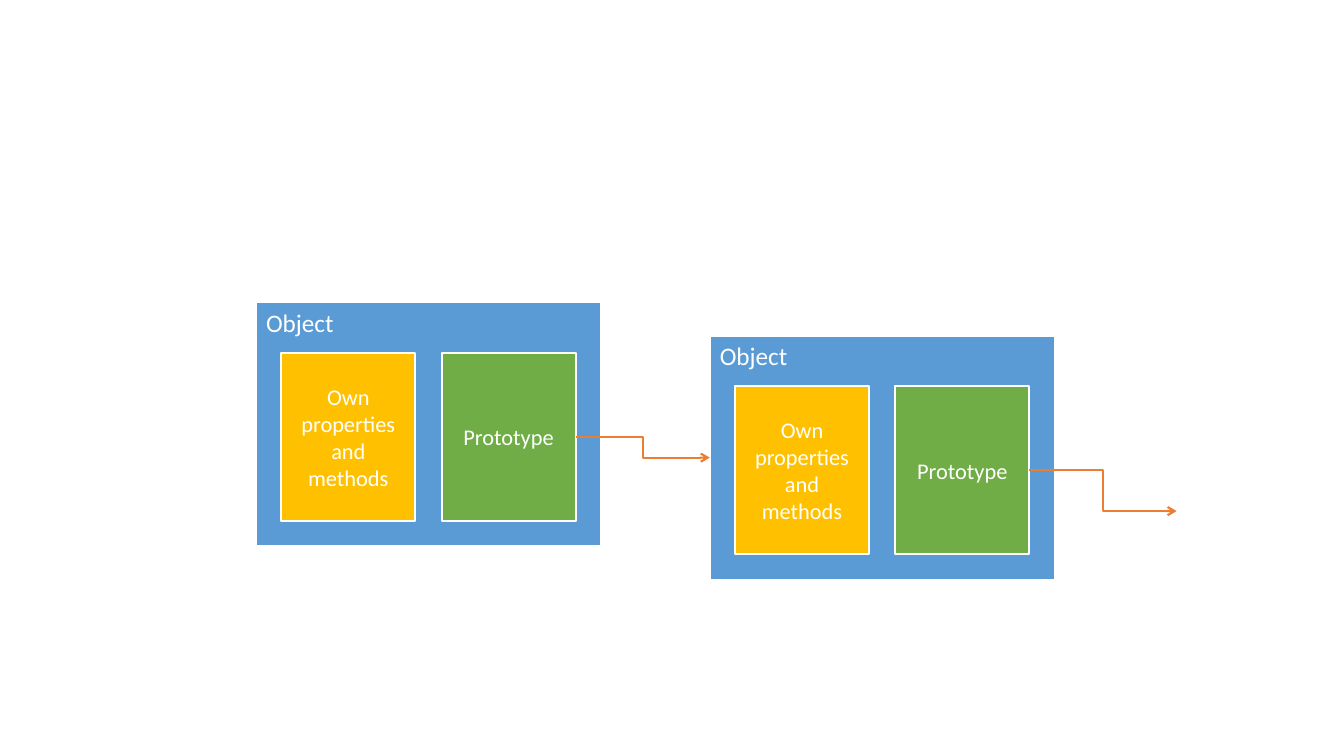
"""Draw two objects linked through their prototypes."""
from dataclasses import dataclass

from pptx import Presentation
from pptx.dml.color import RGBColor
from pptx.enum import shapes, text
from pptx.oxml.ns import qn
from pptx.util import Inches, Pt
from lxml import etree

COLORS = {
    "object": "5B9BD5",
    "own": "FFC000",
    "prototype": "70AD47",
    "white": "FFFFFF",
    "arrow": "ED7D31",
}


@dataclass(frozen=True)
class Box:
    label: str
    fill: str
    dx: float
    dy: float
    width: float
    height: float
    size: int
    centred: bool


OBJECT = Box("Object", "object", 0, 0, 3.42, 2.42, 18, False)
OWN = Box("Own properties and methods", "own", 0.25, 0.5, 1.33, 1.67, 16, True)
PROTOTYPE = Box("Prototype", "prototype", 1.84, 0.5, 1.33, 1.67, 16, True)
ORIGINS = [(2.54, 3.0), (7.04, 3.33)]
CHAIN_END = (11.67, 5.07)


def color(name: str) -> RGBColor:
    return RGBColor.from_string(COLORS[name])


def draw_box(s, box: Box, left: float, top: float):
    sp = s.shapes.add_shape(
        shapes.MSO_SHAPE.RECTANGLE,
        Inches(left + box.dx), Inches(top + box.dy),
        Inches(box.width), Inches(box.height),
    )
    sp.shadow.inherit = False
    sp.fill.solid()
    sp.fill.fore_color.rgb = color(box.fill)
    sp.line.color.rgb = color("white")
    sp.line.width = Pt(1.5)
    tf = sp.text_frame
    tf.word_wrap = True
    tf.text = box.label
    tf.vertical_anchor = text.MSO_ANCHOR.MIDDLE if box.centred else text.MSO_ANCHOR.TOP
    p = tf.paragraphs[0]
    p.alignment = text.PP_ALIGN.CENTER if box.centred else text.PP_ALIGN.LEFT
    font = p.runs[0].font
    font.name = "Calibri"
    font.size = Pt(box.size)
    font.color.rgb = color("white")
    return sp


def draw_object(s, left: float, top: float):
    frame, _, prototype = [draw_box(s, box, left, top) for box in (OBJECT, OWN, PROTOTYPE)]
    return frame, prototype


def draw_arrow(s, start, end_x: int, end_y: int):
    cxn = s.shapes.add_connector(
        shapes.MSO_CONNECTOR.ELBOW,
        start.left + start.width, start.top + start.height // 2, end_x, end_y,
    )
    cxn.begin_connect(start, 3)
    cxn.line.color.rgb = color("arrow")
    cxn.line.width = Pt(1.5)
    etree.SubElement(cxn.line._get_or_add_ln(), qn("a:tailEnd"), type="arrow")
    etree.SubElement(cxn._element.spPr, qn("a:effectLst"))
    return cxn


def main() -> None:
    prs = Presentation()
    prs.slide_width, prs.slide_height = Inches(13.33), Inches(7.5)
    s = prs.slides.add_slide(prs.slide_layouts[6])
    (_, first_proto), (second, second_proto) = [draw_object(s, *at) for at in ORIGINS]
    link = draw_arrow(s, first_proto, second.left, second.top + second.height // 2)
    link.end_connect(second, 1)
    draw_arrow(s, second_proto, *map(Inches, CHAIN_END))
    prs.save("out.pptx")


if __name__ == "__main__":
    main()
